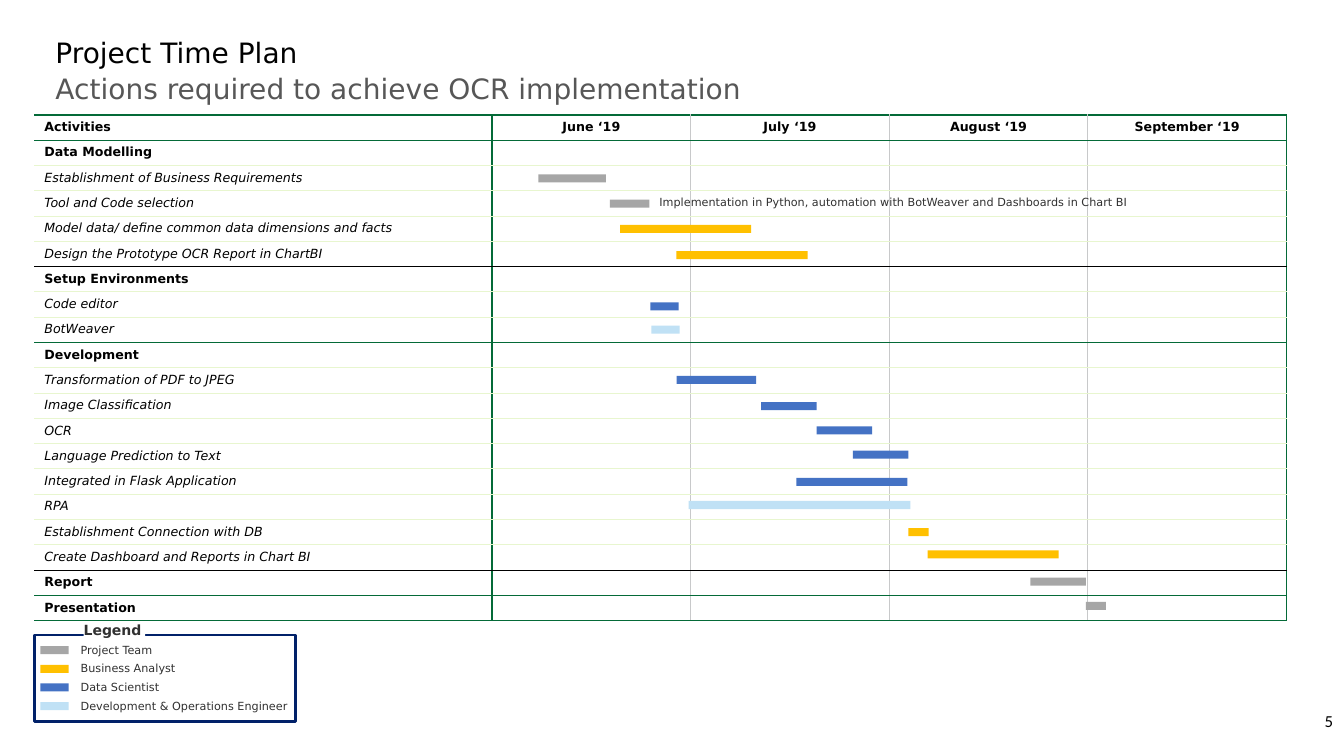
from dataclasses import dataclass
from typing import Any, NamedTuple

from lxml import etree
from pptx import Presentation
from pptx.dml.color import RGBColor
from pptx.enum import shapes, text
from pptx.oxml import ns
from pptx.util import Inches, Pt


@dataclass(frozen=True)
class Theme:
    font: str = "DejaVu Sans"
    number_font: str = "Calibri"
    black: str = "000000"
    white: str = "FFFFFF"
    subtitle: str = "575757"
    note: str = "313131"
    green: str = "046A38"
    pale_green: str = "E8F6CF"
    grid: str = "C8C9CA"
    navy: str = "012169"
    title_size: float = 20
    number_size: float = 12
    legend_size: float = 10
    table_size: float = 9
    note_size: float = 8


class Box(NamedTuple):
    left: float
    top: float
    width: float
    height: float


class Activity(NamedTuple):
    name: str
    heading: bool = False
    rule: str = ""  # colour of the line below; empty for the pale default


class Bar(NamedTuple):
    left: float
    top: float
    width: float
    owner: str


THEME = Theme()
BAR_HEIGHT = 0.08
NO_GRID_STYLE = "{2D5ABB26-0587-4C30-8999-92F81FD0307C}"
TEAM, ANALYST = "Project Team", "Business Analyst"
SCIENTIST, ENGINEER = "Data Scientist", "Development & Operations Engineer"
OWNER_COLORS = {TEAM: "A6A6A6", ANALYST: "FFC000", SCIENTIST: "4472C4", ENGINEER: "C0E1F5"}
MONTHS = ["June ‘19", "July ‘19", "August ‘19", "September ‘19"]
ACTIVITIES = [
    Activity("Activities", True, THEME.green),
    Activity("Data Modelling", True),
    Activity("Establishment of Business Requirements"),
    Activity("Tool and Code selection"),
    Activity("Model data/ define common data dimensions and facts"),
    Activity("Design the Prototype OCR Report in ChartBI", rule=THEME.black),
    Activity("Setup Environments", True),
    Activity("Code editor"),
    Activity("BotWeaver", rule=THEME.green),
    Activity("Development", True),
    Activity("Transformation of PDF to JPEG"),
    Activity("Image Classification"),
    Activity("OCR"),
    Activity("Language Prediction to Text"),
    Activity("Integrated in Flask Application"),
    Activity("RPA"),
    Activity("Establishment Connection with DB"),
    Activity("Create Dashboard and Reports in Chart BI", rule=THEME.black),
    Activity("Report", True, THEME.green),
    Activity("Presentation", True, THEME.green),
]
BARS = [
    Bar(5.34, 1.73, 0.67, TEAM),
    Bar(6.05, 1.98, 0.39, TEAM),
    Bar(6.15, 2.23, 1.3, ANALYST),
    Bar(6.71, 2.49, 1.3, ANALYST),
    Bar(6.45, 3.0, 0.28, SCIENTIST),
    Bar(6.46, 3.23, 0.28, ENGINEER),
    Bar(6.71, 3.73, 0.79, SCIENTIST),
    Bar(7.55, 3.99, 0.55, SCIENTIST),
    Bar(8.1, 4.23, 0.55, SCIENTIST),
    Bar(8.46, 4.47, 0.55, SCIENTIST),
    Bar(7.9, 4.74, 1.1, SCIENTIST),
    Bar(6.83, 4.97, 2.2, ENGINEER),
    Bar(9.01, 5.24, 0.2, ANALYST),
    Bar(9.2, 5.46, 1.3, ANALYST),
    Bar(10.22, 5.73, 0.55, TEAM),
    Bar(10.77, 5.97, 0.2, TEAM),
]


def emu(box: Box) -> list[int]:
    return [Inches(length) for length in box]


def write(frame: Any, words: str, size: float, color: str, bold: bool = False,
          italic: bool = False, font: str = THEME.font,
          align: text.PP_ALIGN = text.PP_ALIGN.LEFT) -> None:
    frame.text = words
    paragraph = frame.paragraphs[0]
    paragraph.alignment = align
    paragraph.font.name, paragraph.font.size = font, Pt(size)
    paragraph.font.bold, paragraph.font.italic = bold, italic
    paragraph.font.color.rgb = RGBColor.from_string(color)


def clear_insets(frame: Any) -> None:
    frame.margin_left = frame.margin_top = frame.margin_right = frame.margin_bottom = 0
    frame.vertical_anchor = text.MSO_ANCHOR.TOP
    frame.word_wrap = True


def add_label(parent: Any, box: Box, words: str, size: float, color: str) -> None:
    frame = parent.add_textbox(*emu(box)).text_frame
    clear_insets(frame)
    write(frame, words, size, color)


def add_rect(parent: Any, box: Box, fill: str, line: str = "") -> Any:
    rect = parent.add_shape(shapes.MSO_SHAPE.RECTANGLE, *emu(box))
    rect.shadow.inherit = False
    rect.fill.solid()
    rect.fill.fore_color.rgb = RGBColor.from_string(fill)
    if line:
        rect.line.color.rgb = RGBColor.from_string(line)
        rect.line.width = Pt(2)
    else:
        rect.line.fill.background()
    return rect


def set_borders(cell: Any, left: str, right: str, top: str, bottom: str) -> None:
    """Colour the four edges of a cell; an empty colour leaves the edge undrawn."""
    properties = cell._tc.get_or_add_tcPr()
    edges = zip(("a:lnL", "a:lnR", "a:lnT", "a:lnB"), (left, right, top, bottom))
    for position, (tag, color) in enumerate(edges):
        width = 1 if color in (THEME.green, THEME.grid) else 0.75
        line = etree.Element(ns.qn(tag), w=str(Pt(width)))
        if color:
            fill = etree.SubElement(line, ns.qn("a:solidFill"))
            etree.SubElement(fill, ns.qn("a:srgbClr"), val=color)
        else:
            etree.SubElement(line, ns.qn("a:noFill"))
        properties.insert(position, line)


def add_plan(parent: Any) -> None:
    columns = len(MONTHS) + 1
    plan = parent.add_table(len(ACTIVITIES), columns, *emu(Box(0.34, 1.14, 12.42, 4.95))).table
    plan.first_row = plan.horz_banding = False
    plan._tbl.tblPr.find(ns.qn("a:tableStyleId")).text = NO_GRID_STYLE
    for index, column in enumerate(plan.columns):
        column.width = Inches(1.97 if index else 4.54)
    verticals = ["", THEME.green] + [THEME.grid] * (columns - 2) + [THEME.green]
    above = THEME.green
    for row, activity in enumerate(ACTIVITIES):
        below = activity.rule or THEME.pale_green
        for column in range(columns):
            cell = plan.cell(row, column)
            words = activity.name if column == 0 else "" if row else MONTHS[column - 1]
            write(cell.text_frame, words, THEME.table_size, THEME.black,
                  activity.heading, not activity.heading,
                  align=text.PP_ALIGN.CENTER if column else text.PP_ALIGN.LEFT)
            if not words:
                etree.SubElement(cell.text_frame.paragraphs[0]._p, ns.qn("a:endParaRPr"),
                                 sz=str(int(THEME.table_size * 100)))
            if column:
                cell.vertical_anchor = text.MSO_ANCHOR.MIDDLE
            cell.fill.background()
            set_borders(cell, verticals[column], verticals[column + 1], above, below)
        above = below


def add_legend(parent: Any) -> None:
    legend = parent.add_group_shape().shapes
    add_rect(legend, Box(0.34, 6.3, 2.59, 0.86), THEME.white, THEME.navy)
    heading = add_rect(legend, Box(0.83, 6.17, 0.61, 0.19), THEME.white).text_frame
    clear_insets(heading)
    write(heading, "Legend", THEME.legend_size, THEME.note, bold=True)
    for index, (owner, color) in enumerate(OWNER_COLORS.items()):
        top = 6.41 + index * 0.74 / len(OWNER_COLORS)
        add_rect(legend, Box(0.4, top, 0.28, BAR_HEIGHT), color)
        add_label(legend, Box(0.8, top - 0.03, 2.07, 0.13), owner, THEME.note_size, THEME.note)


def main() -> None:
    deck = Presentation()
    deck.slide_width, deck.slide_height = Inches(13.33), Inches(7.5)
    slide = deck.slides.add_slide(deck.slide_layouts[5])
    canvas = slide.shapes
    title = canvas.title
    title.left, title.top, title.width, title.height = emu(Box(0.55, 0.35, 12.21, 0.76))
    clear_insets(title.text_frame)
    write(title.text_frame, "Project Time Plan", THEME.title_size, THEME.black)
    add_label(canvas, Box(0.55, 0.71, 12.21, 0.83),
              "Actions required to achieve OCR implementation", THEME.title_size, THEME.subtitle)
    add_plan(canvas)
    for bar in BARS:
        add_rect(canvas, Box(bar.left, bar.top, bar.width, BAR_HEIGHT), OWNER_COLORS[bar.owner])
    add_label(canvas, Box(6.54, 1.94, 5.47, 0.13),
              "Implementation in Python, automation with BotWeaver and Dashboards in Chart BI",
              THEME.note_size, THEME.note)
    add_legend(canvas)
    page = canvas.add_textbox(*emu(Box(10.32, 6.95, 3, 0.4))).text_frame
    page.word_wrap, page.vertical_anchor = True, text.MSO_ANCHOR.MIDDLE
    write(page, "5", THEME.number_size, THEME.black, font=THEME.number_font,
          align=text.PP_ALIGN.RIGHT)
    deck.save("out.pptx")


if __name__ == "__main__":
    main()
